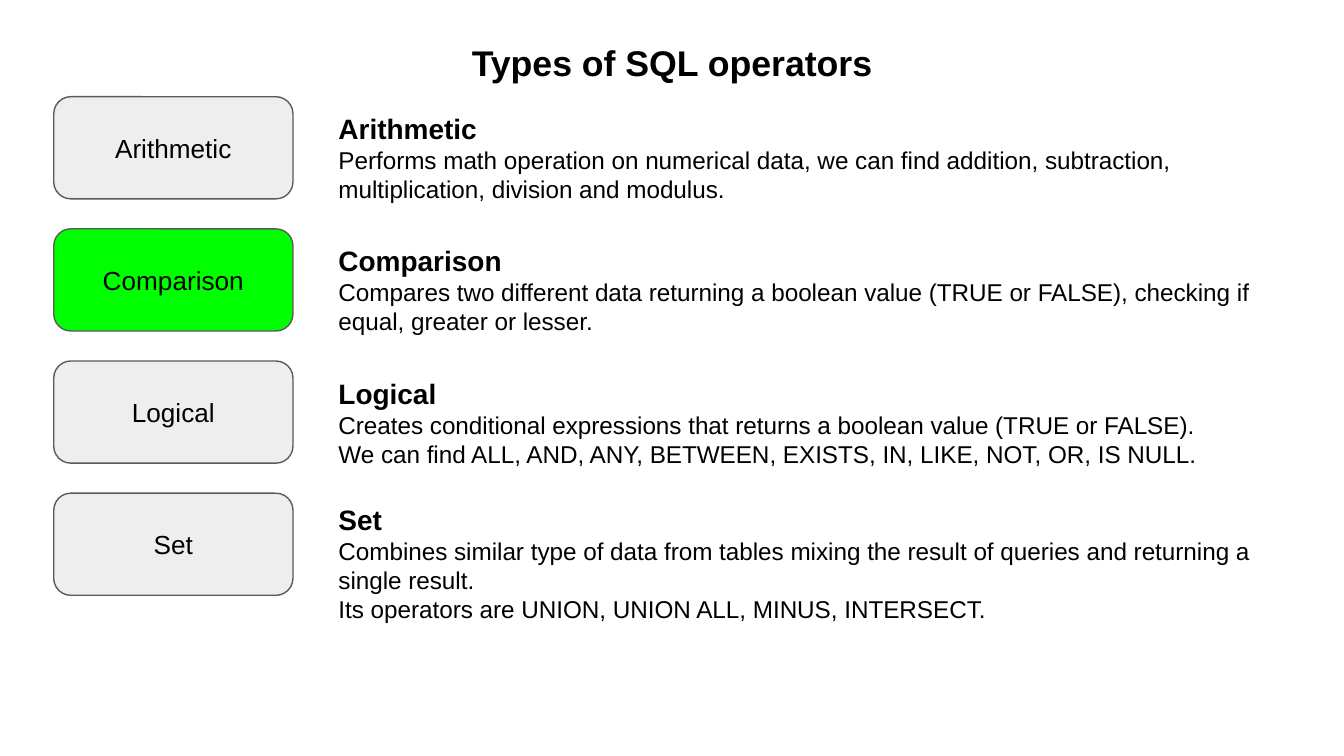
from pptx import Presentation
from pptx import util as u
from pptx.dml import color
from pptx.enum import shapes, text

FONT = "Arial"
SLIDE_WIDTH = 10
SLIDE_HEIGHT = SLIDE_WIDTH * 9 / 16
OPERATORS = [
    ("Arithmetic", "EEEEEE", 0.73, [
        "Performs math operation on numerical data, we can find addition, "
        "subtraction, multiplication, division and modulus."]),
    ("Comparison", "00FF00", 1.71, [
        "Compares two different data returning a boolean value (TRUE or FALSE), "
        "checking if equal, greater or lesser."]),
    ("Logical", "EEEEEE", 2.7, [
        "Creates conditional expressions that returns a boolean value (TRUE or FALSE).",
        "We can find ALL, AND, ANY, BETWEEN, EXISTS, IN, LIKE, NOT, OR, IS NULL."]),
    ("Set", "EEEEEE", 3.64, [
        "Combines similar type of data from tables mixing the result of queries "
        "and returning a single result.",
        "Its operators are UNION, UNION ALL, MINUS, INTERSECT."]),
]


def rgb(value):
    return color.RGBColor.from_string(value)


def inches(box):
    return [u.Inches(length) for length in box]


def prepare_frame(shape, anchor):
    frame = shape.text_frame
    frame.word_wrap = True
    frame.auto_size = text.MSO_AUTO_SIZE.NONE
    frame.vertical_anchor = anchor
    frame.margin_left = frame.margin_right = u.Inches(0.1)
    frame.margin_top = frame.margin_bottom = u.Inches(0.1)
    return frame


def add_run(para, words, size, bold=False):
    span = para.add_run()
    span.text = words
    span.font.name = FONT
    span.font.size = u.Pt(size)
    span.font.bold = bold
    span.font.color.rgb = rgb("000000")


def place_title(page, box, words):
    title = page.shapes.title
    title.left, title.top, title.width, title.height = inches(box)
    para = prepare_frame(title, text.MSO_ANCHOR.BOTTOM).paragraphs[0]
    para.alignment = text.PP_ALIGN.CENTER
    para.line_spacing = 0.8
    add_run(para, words, 19.1, bold=True)


def add_button(page, box, label, fill):
    button = page.shapes.add_shape(shapes.MSO_SHAPE.ROUNDED_RECTANGLE, *inches(box))
    button.shadow.inherit = False
    button.fill.solid()
    button.fill.fore_color.rgb = rgb(fill)
    button.line.color.rgb = rgb("595959")
    button.line.width = u.Pt(0.75)
    para = prepare_frame(button, text.MSO_ANCHOR.MIDDLE).paragraphs[0]
    para.alignment = text.PP_ALIGN.CENTER
    add_run(para, label, 14)


def add_description(page, box, heading, lines):
    frame = prepare_frame(page.shapes.add_textbox(*inches(box)), text.MSO_ANCHOR.TOP)
    add_run(frame.paragraphs[0], heading, 15, bold=True)
    for line in lines:
        add_run(frame.add_paragraph(), line, 13)


def add_operators(page, box):
    left, top, width, height = box
    button_width, row_height, text_offset = 1.78, 0.76, 2.02
    pitch = (height - row_height) / (len(OPERATORS) - 1)
    for row, (name, fill, text_top, lines) in enumerate(OPERATORS):
        add_button(page, (left, top + row * pitch, button_width, row_height), name, fill)
        text_box = (left + text_offset, top + text_top - 0.72, width - text_offset, row_height)
        add_description(page, text_box, name, lines)


def main():
    deck = Presentation()
    deck.slide_width, deck.slide_height = inches((SLIDE_WIDTH, SLIDE_HEIGHT))
    page = deck.slides.add_slide(deck.slide_layouts[5])
    place_title(page, (0.34, 0.25, 9.32, 0.47), "Types of SQL operators")
    add_operators(page, (0.4, 0.72, 9.26, 3.71))
    deck.save("out.pptx")


if __name__ == "__main__":
    main()
